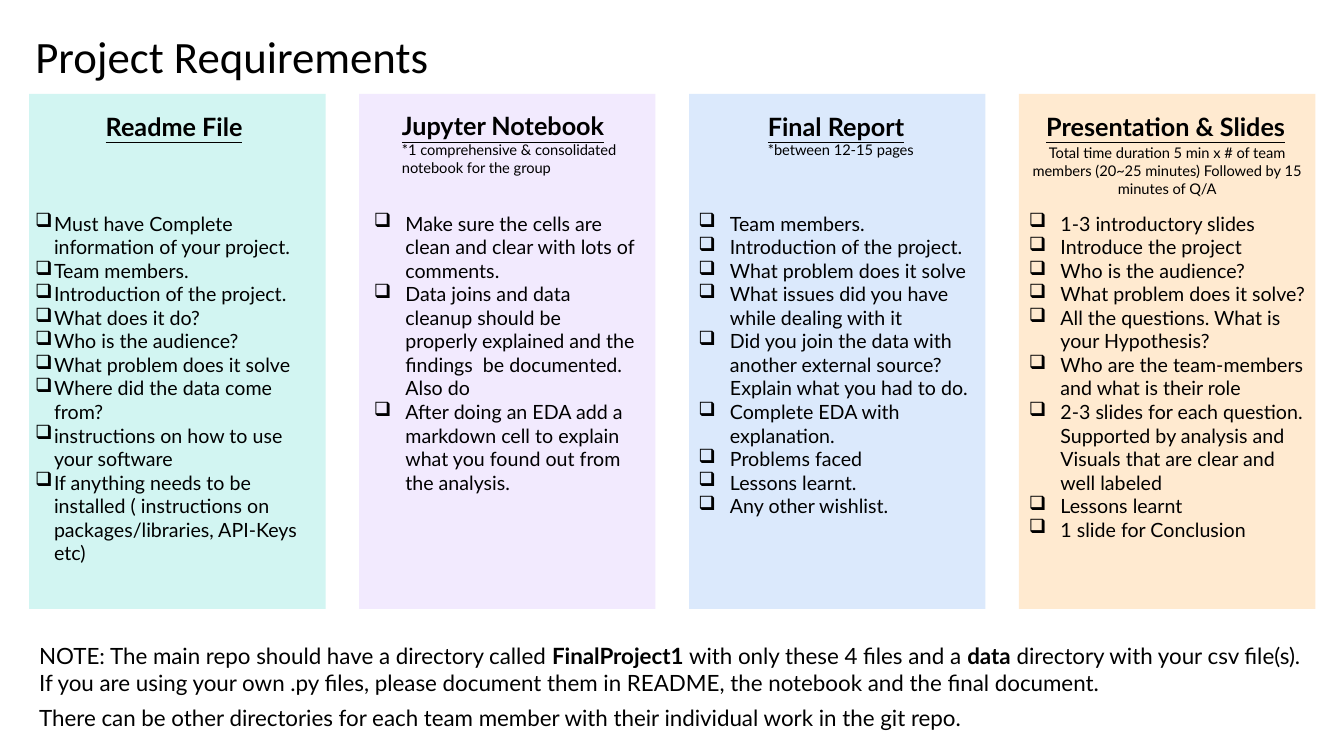
from pptx import Presentation
from pptx.dml.color import RGBColor
from pptx.enum.shapes import MSO_SHAPE
from pptx.enum.text import MSO_ANCHOR, MSO_AUTO_SIZE, PP_ALIGN
from pptx.util import Pt
from lxml.etree import SubElement
from pptx.oxml.ns import qn

COLORS = {
    "text": "000000",
    "mint": "D2F5F2",
    "lilac": "F2EAFE",
    "blue": "DBE9FC",
    "peach": "FFEAD0",
}
COLUMN_LEFT, COLUMN_STEP, COLUMN_WIDTH = 20.9, 235.65, 211.7
COLUMN_TOP, COLUMN_HEIGHT = 67, 368
HEADING_TOP, LIST_TOP = 75.6, 147.6

# Heading and list boxes are (left, width).
COLUMNS = [
    {
        "color": "mint", "heading": "Readme File", "remark": None,
        "heading_box": (68.4, 116.6), "wrap": False,
        "list_box": (18, 214.6), "indent": 13.5,
        "items": [
            "Must have Complete information of your project.",
            "Team members.",
            "Introduction of the project.",
            "What does it do?",
            "Who is the audience?",
            "What problem does it solve",
            "Where did the data come from?",
            "instructions on how to use your software",
            "If anything needs to be installed ( instructions on "
            "packages/libraries, API-Keys etc)",
        ],
    },
    {
        "color": "lilac", "heading": "Jupyter Notebook",
        "remark": "*1 comprehensive & consolidated notebook for the group",
        "heading_box": (280, 182.2), "wrap": True,
        "list_box": (260, 201.6), "indent": 22.5,
        "items": [
            "Make sure the cells are clean and clear with lots of comments.",
            "Data joins and data cleanup should be properly explained and "
            "the findings  be documented. Also do",
            "After doing an EDA add a markdown cell to explain what you "
            "found out from the analysis.",
        ],
    },
    {
        "color": "blue", "heading": "Final Report",
        "remark": "*between 12-15 pages",
        "heading_box": (541.4, 123.8), "wrap": False,
        "list_box": (491.8, 211.7), "indent": 22.5,
        "items": [
            "Team members.",
            "Introduction of the project.",
            "What problem does it solve",
            "What issues did you have while dealing with it",
            "Did you join the data with another external source? "
            "Explain what you had to do.",
            "Complete EDA with explanation.",
            "Problems faced",
            "Lessons learnt.",
            "Any other wishlist.",
        ],
    },
    {
        "color": "peach", "heading": "Presentation & Slides", "remark": None,
        "heading_box": (740.2, 186.5), "wrap": False,
        "list_box": (727.9, 211.7), "indent": 22.5,
        "items": [
            "1-3 introductory slides",
            "Introduce the project",
            "Who is the audience?",
            "What problem does it solve? ",
            "All the questions. What is your Hypothesis?",
            "Who are the team-members and what is their role",
            "2-3 slides for each question. Supported by analysis and "
            "Visuals that are clear and well labeled",
            "Lessons learnt",
            "1 slide for Conclusion",
        ],
    },
]
DURATION = ("Total time duration 5 min x # of team members (20~25 minutes) "
            "Followed by 15 minutes of Q/A")
# Each note paragraph is a list of (words, bold).
NOTES = [
    [
        ("NOTE: The main repo should have a directory called ", False),
        ("FinalProject1", True),
        (" with only these 4 files and a ", False),
        ("data", True),
        (" directory with your csv file(s). If you are using your own .py "
         "files, please document them in README, the notebook and the final "
         "document.", False),
    ],
    [("There can be other directories for each team member with their "
      "individual work in the git repo.", False)],
]


class RequirementsSlide:
    font = "Lato"
    title_font = "Calibri"

    def __init__(self, slide):
        self.slide = slide

    def style(self, paragraph, size, name=None, bold=None, underline=None):
        font = paragraph.font
        font.name = name or self.font
        font.size = Pt(size)
        font.bold = bold
        font.underline = underline
        font.color.rgb = RGBColor.from_string(COLORS["text"])

    def title(self, words, left, top, width, height):
        title = self.slide.shapes.title
        title.left, title.top = Pt(left), Pt(top)
        title.width, title.height = Pt(width), Pt(height)
        frame = title.text_frame
        frame.text = words
        frame.auto_size = MSO_AUTO_SIZE.NONE
        frame.vertical_anchor = MSO_ANCHOR.MIDDLE
        line = frame.paragraphs[0]
        line.alignment = PP_ALIGN.LEFT
        line.line_spacing = 0.9
        self.style(line, 32, self.title_font)

    def panel(self, color, left, top, width, height):
        panel = self.slide.shapes.add_shape(
            MSO_SHAPE.RECTANGLE, Pt(left), Pt(top), Pt(width), Pt(height))
        panel.shadow.inherit = False
        panel.fill.solid()
        panel.fill.fore_color.rgb = RGBColor.from_string(COLORS[color])
        panel.line.fill.background()

    def text(self, lines, left, top, width, height, wrap=True):
        """Add a text box with one paragraph per line; return the paragraphs."""
        frame = self.slide.shapes.add_textbox(
            Pt(left), Pt(top), Pt(width), Pt(height)).text_frame
        frame.word_wrap = wrap
        frame.auto_size = MSO_AUTO_SIZE.SHAPE_TO_FIT_TEXT
        frame.text = "\n".join(lines)
        return frame.paragraphs

    def heading(self, words, remark, left, width, wrap):
        lines = [words, remark] if remark else [words]
        height = 29 if not remark else 54.7 if wrap else 41.8
        heading, *remarks = self.text(
            lines, left, HEADING_TOP, width, height, wrap)
        self.style(heading, 18, bold=True, underline=True)
        for line in remarks:
            self.style(line, 10.5)

    def checklist(self, items, left, width, indent):
        for item in self.text(items, left, LIST_TOP, width, 270):
            properties = item._p.get_or_add_pPr()
            properties.set("marL", str(Pt(indent)))
            properties.set("indent", str(-Pt(indent)))
            SubElement(properties, qn("a:buChar")).set("char", "❑")
            self.style(item, 14)

    def notes(self, notes, left, top, width, height):
        paragraphs = self.text([""] * len(notes), left, top, width, height)
        for index, (paragraph, runs) in enumerate(zip(paragraphs, notes)):
            if index:
                paragraph.space_before = Pt(6)
            self.style(paragraph, 16)
            for words, bold in runs:
                run = paragraph.add_run()
                run.text = words
                run.font.bold = bold


def main():
    deck = Presentation()
    deck.slide_width, deck.slide_height = Pt(960), Pt(540)
    page = RequirementsSlide(deck.slides.add_slide(deck.slide_layouts[5]))
    page.title("Project Requirements", 18, 17.3, 828, 49)
    for index, column in enumerate(COLUMNS):
        page.panel(column["color"], COLUMN_LEFT + index * COLUMN_STEP,
                   COLUMN_TOP, COLUMN_WIDTH, COLUMN_HEIGHT)
        page.heading(column["heading"], column["remark"],
                     *column["heading_box"], column["wrap"])
        page.checklist(column["items"], *column["list_box"], column["indent"])
    duration = page.text([DURATION], 727.9, 99.4, COLUMN_WIDTH, 45.4)[0]
    duration.alignment = PP_ALIGN.CENTER
    page.style(duration, 10.5)
    page.notes(NOTES, 20.9, 455, 926, 71.3)
    deck.save("out.pptx")


if __name__ == "__main__":
    main()
